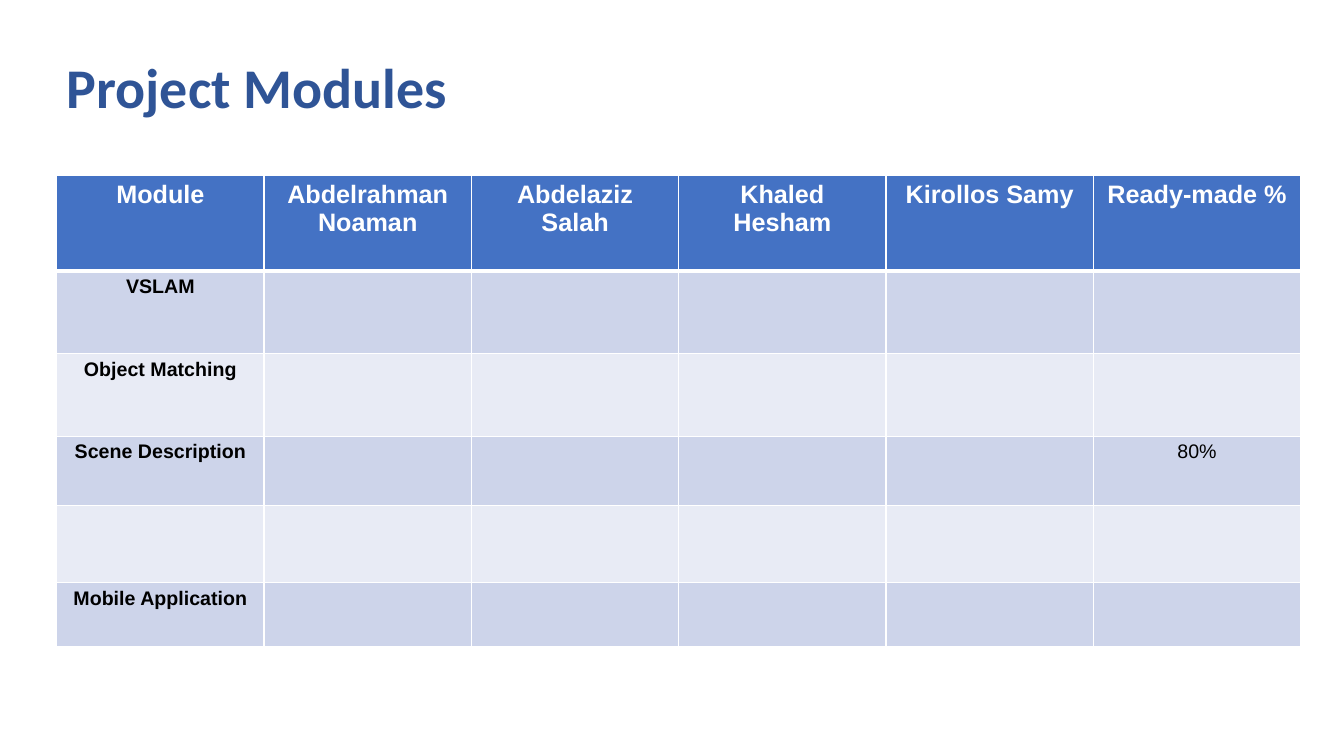
from lxml import etree
from pptx import Presentation
from pptx.dml.color import RGBColor
from pptx.enum.text import MSO_AUTO_SIZE, PP_ALIGN
from pptx.oxml.ns import qn
from pptx.util import Cm, Pt

CENTER = PP_ALIGN.CENTER
FIT_SHAPE = MSO_AUTO_SIZE.SHAPE_TO_FIT_TEXT

WHITE, BLACK = "FFFFFF", "000000"
HEADER_FILL = "4472C4"
BAND_FILLS = ("CDD4EA", "E8EBF5")

TITLE_FONT = {"name": "Calibri", "size": Pt(40), "bold": True, "color": "2F5496"}
HEADER_FONT = {"name": "Arial", "size": Pt(18), "bold": True, "color": WHITE}
MODULE_FONT = {"name": "Arial", "size": Pt(14), "bold": True, "color": BLACK}
VALUE_FONT = {**MODULE_FONT, "bold": False}

HEADERS = ["Module", "Abdelrahman Noaman", "Abdelaziz Salah",
           "Khaled Hesham", "Kirollos Samy", "Ready-made %"]
# Module name, ready-made share, row height in cm
MODULES = [
    ("VSLAM", "", 2.08),
    ("Object Matching", "", 2.08),
    ("Scene Description", "80%", 1.74),
    ("", "", 1.94),
    ("Mobile Application", "", 1.63),
]
HEADER_HEIGHT = 2.4


def rgb(color):
    return RGBColor.from_string(color)


def write(p, text, style):
    r = p.add_run()
    r.text = text
    for key, value in style.items():
        if key == "color":
            r.font.color.rgb = rgb(value)
        else:
            setattr(r.font, key, value)


def set_borders(cell, widths):
    tc_pr = cell._tc.get_or_add_tcPr()
    for side, width in widths.items():
        ln = etree.SubElement(tc_pr, qn(f"a:ln{side}"), w=str(Pt(width)))
        fill = etree.SubElement(ln, qn("a:solidFill"))
        etree.SubElement(fill, qn("a:srgbClr"), val=WHITE)


def fill_cell(cell, text, style, color, widths):
    set_borders(cell, widths)
    cell.fill.solid()
    cell.fill.fore_color.rgb = rgb(color)
    p = cell.text_frame.paragraphs[0]
    p.alignment = CENTER
    if text:
        write(p, text, style)


def add_title(slide, left, top, width, height):
    tf = slide.shapes.add_textbox(left, top, width, height).text_frame
    tf.word_wrap = True
    tf.auto_size = FIT_SHAPE
    write(tf.paragraphs[0], "Project Modules", TITLE_FONT)


def add_module_table(slide, left, top, width, height):
    n_cols = len(HEADERS)
    table = slide.shapes.add_table(
        len(MODULES) + 1, n_cols, left, top, width, height).table
    for col in table.columns:
        col.width = width // n_cols

    # Header row, set off by a thick rule
    table.rows[0].height = Cm(HEADER_HEIGHT)
    for cell, text in zip(table.rows[0].cells, HEADERS):
        fill_cell(cell, text, HEADER_FONT, HEADER_FILL,
                  {"L": 1, "R": 1, "T": 1, "B": 3})

    # Banded module rows
    for i, (module, share, row_height) in enumerate(MODULES):
        row = table.rows[i + 1]
        row.height = Cm(row_height)
        widths = {"L": 1, "R": 1, "T": 1 if i else 3, "B": 1}
        texts = [module] + [""] * (n_cols - 2) + [share]
        for j, (cell, text) in enumerate(zip(row.cells, texts)):
            style = VALUE_FONT if j else MODULE_FONT
            fill_cell(cell, text, style, BAND_FILLS[i % 2], widths)


def main():
    prs = Presentation()
    prs.slide_width, prs.slide_height = Cm(33.87), Cm(19.05)
    slide = prs.slides.add_slide(prs.slide_layouts[6])
    left = Cm(1.43)
    add_title(slide, left, Cm(1.2), Cm(12.45), Cm(1.96))
    table_height = HEADER_HEIGHT + sum(row[2] for row in MODULES)
    add_module_table(slide, left, Cm(4.43), Cm(31.35), Cm(table_height))
    prs.save("out.pptx")


if __name__ == "__main__":
    main()
